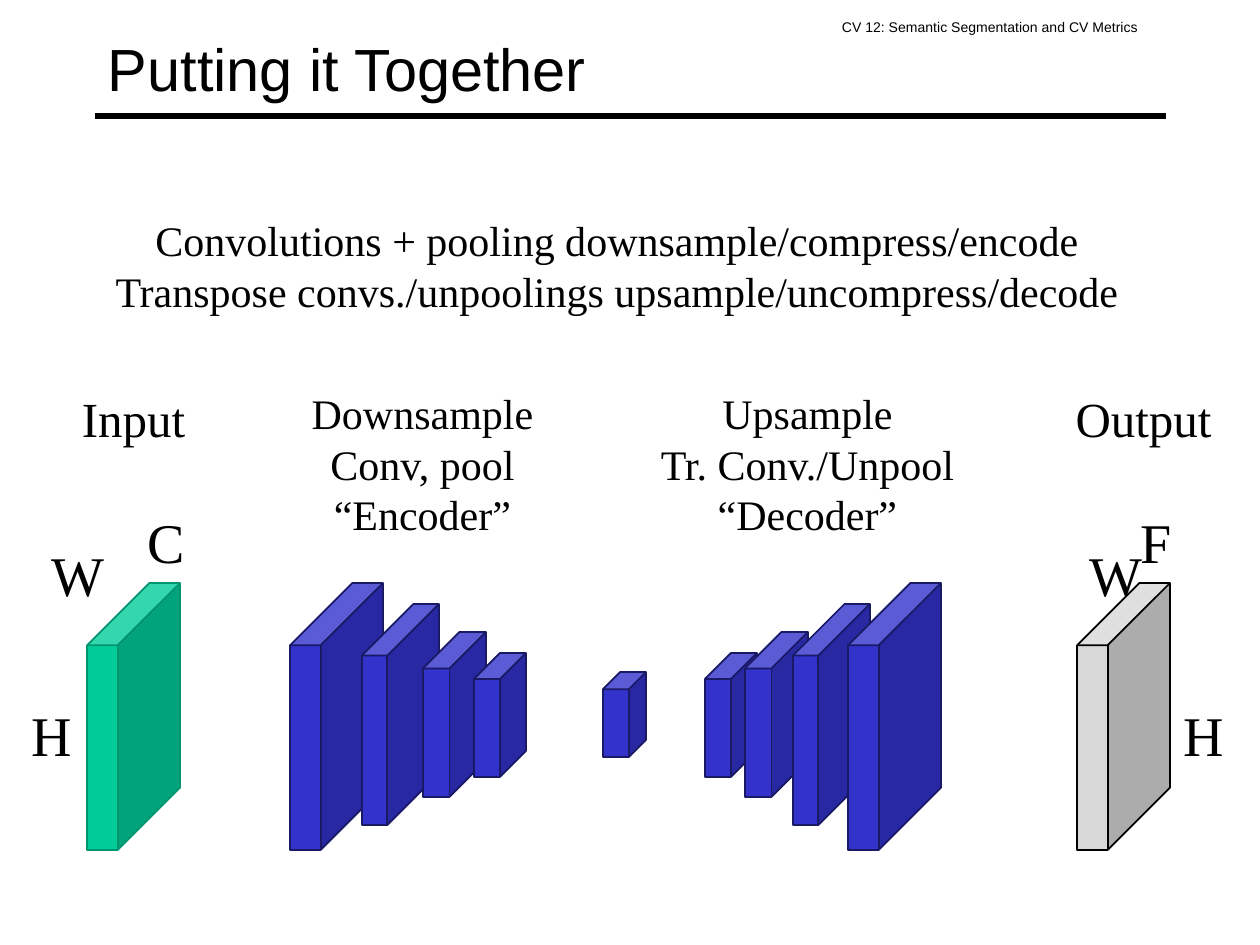
from lxml import etree
from pptx import Presentation
from pptx.dml.color import RGBColor
from pptx.enum.shapes import MSO_CONNECTOR, MSO_SHAPE
from pptx.enum.text import MSO_ANCHOR, MSO_AUTO_SIZE, PP_ALIGN
from pptx.oxml.ns import qn
from pptx.util import Pt

EMU_PER_PX = 914400 / 126
STRAIGHT, CUBE = MSO_CONNECTOR.STRAIGHT, MSO_SHAPE.CUBE
MIDDLE, GROW = MSO_ANCHOR.MIDDLE, MSO_AUTO_SIZE.SHAPE_TO_FIT_TEXT
LEFT, CENTER = PP_ALIGN.LEFT, PP_ALIGN.CENTER

BLACK = RGBColor(0x00, 0x00, 0x00)
BLUE, NAVY = RGBColor(0x33, 0x33, 0xCC), RGBColor(0x19, 0x19, 0x66)
GREEN, DARK_GREEN = RGBColor(0x00, 0xCC, 0x99), RGBColor(0x00, 0x94, 0x6F)
GRAY = RGBColor(0xD8, 0xD8, 0xD8)
SANS, SERIF = "Arial", "Times New Roman"

TITLE = "Putting it Together"
HEADER = "CV 12: Semantic Segmentation and CV Metrics"
SUMMARY = ["Convolutions + pooling downsample/compress/encode",
           "Transpose convs./unpoolings upsample/uncompress/decode"]

# Cube sizes, largest first: top, width, height, depth adjustment
FULL, LARGE, MEDIUM, SMALL, CODE = [
    (583, 93, 267, 0.67), (604, 77, 221, 0.67), (632, 63, 165, 0.58),
    (653, 52, 124, 0.5), (672, 43, 85, 0.4)]

# Each stage: fill, outline, cubes (left, size), texts (lines, box, font size)
STAGES = [
    (BLUE, NAVY, [(603, CODE)], []),
    (GREEN, DARK_GREEN, [(87, FULL)],
     [(["H"], (18, 694, 67, 81), 32), (["W"], (39, 534, 67, 81), 32),
      (["C"], (133, 501, 67, 81), 32), (["Input"], (5, 382, 257, 72), 28)]),
    (BLUE, NAVY, [(290, FULL), (362, LARGE), (423, MEDIUM), (474, SMALL)],
     [(["Downsample", "Conv, pool", "“Encoder”"], (235, 382, 375, 165), 24)]),
    (BLUE, NAVY, [(705, SMALL), (745, MEDIUM), (793, LARGE), (848, FULL)],
     [(["Upsample", "Tr. Conv./Unpool", "“Decoder”"], (637, 382, 341, 165), 24)]),
    (GRAY, BLACK, [(1077, FULL)],
     [(["H"], (1170, 694, 67, 81), 32), (["W"], (1076, 534, 67, 81), 32),
      (["F"], (1123, 501, 67, 81), 32), (["Output"], (1015, 382, 257, 72), 28)]),
]


def px(*values):
    return [round(v * EMU_PER_PX) for v in values]


def write(tf, lines, size, font, align, margin_y=6):
    tf.word_wrap = True
    tf.margin_left, tf.margin_right = px(13, 13)
    tf.margin_top, tf.margin_bottom = px(margin_y, margin_y)
    for i, line in enumerate(lines):
        p = tf.add_paragraph() if i else tf.paragraphs[0]
        p.alignment = align
        r = p.add_run()
        r.text = line
        r.font.size, r.font.name = Pt(size), font
        r.font.color.rgb = BLACK


def add_text(shapes, lines, box, size, font=SERIF, align=CENTER, margin_y=6):
    tf = shapes.add_textbox(*px(*box)).text_frame
    write(tf, lines, size, font, align, margin_y)
    tf.auto_size = GROW


def add_cube(shapes, left, cube_size, fill, outline):
    top, width, height, depth = cube_size
    sp = shapes.add_shape(CUBE, *px(left, top, width, height))
    sp.adjustments[0] = depth
    sp.shadow.inherit = False
    sp.fill.solid()
    sp.fill.fore_color.rgb = fill
    sp.line.color.rgb = outline
    sp.line.width = Pt(1)


def add_stage(shapes, fill, outline, cubes, texts):
    for left, cube_size in cubes:
        add_cube(shapes, left, cube_size, fill, outline)
    for lines, box, size in texts:
        add_text(shapes, lines, box, size)


def main():
    prs = Presentation()
    prs.slide_width, prs.slide_height = px(1260, 945)
    s = prs.slides.add_slide(prs.slide_layouts[5])

    title = s.shapes.title
    title.left, title.top, title.width, title.height = px(95, 10, 1071, 116)
    write(title.text_frame, [TITLE], 34, SANS, LEFT)
    title.text_frame.vertical_anchor = MIDDLE

    rule = s.shapes.add_connector(STRAIGHT, *px(95, 116, 1166, 116))
    rule.line.color.rgb = BLACK
    rule.line.width = Pt(3)
    etree.SubElement(rule._element.spPr, qn("a:effectLst"))

    add_text(s.shapes, [HEADER], (829, 10, 413, 43), 8, SANS, LEFT, 13)
    for stage in STAGES:
        add_stage(s.shapes.add_group_shape().shapes, *stage)
    add_text(s.shapes, SUMMARY, (-10, 209, 1254, 115), 24)

    prs.save("out.pptx")


if __name__ == "__main__":
    main()
